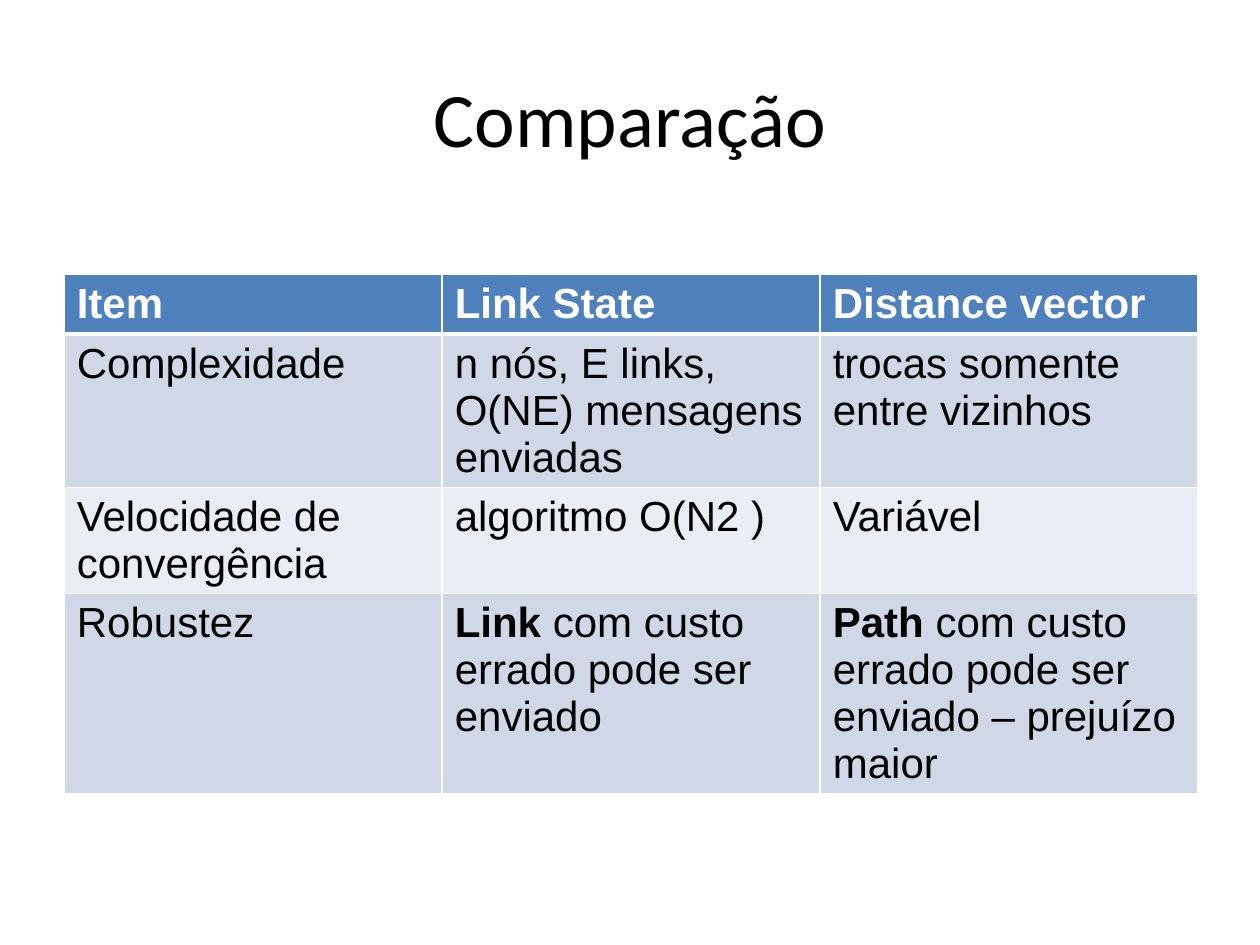
"""Build a slide comparing link state and distance vector routing."""
from dataclasses import dataclass

from lxml.etree import SubElement
from pptx import Presentation
from pptx.dml.color import RGBColor as Color
from pptx.enum.text import MSO_ANCHOR as Anchor, PP_ALIGN as Align
from pptx.oxml.ns import qn
from pptx.util import Inches, Pt

TITLE = "Comparação"
HEADINGS = ["Item", "Link State", "Distance vector"]
CRITERIA = [
    ["Complexidade", "n nós, E links, O(NE) mensagens enviadas", "trocas somente entre vizinhos"],
    ["Velocidade de convergência", "algoritmo O(N2 )", "Variável"],
    ["Robustez",
     [("Link", True), (" com custo errado pode ser enviado", False)],
     [("Path", True), (" com custo errado pode ser enviado – prejuízo maior", False)]],
]


@dataclass(frozen=True)
class Theme:
    title_font: str = "Calibri"
    body_font: str = "Arial"
    title_size: int = 44
    body_size: int = 24
    ink: str = "000000"
    paper: str = "FFFFFF"
    header: str = "4F81BD"
    bands: tuple = ("D0D8E8", "E9EDF4")
    rule: int = 1
    header_rule: int = 3


THEME = Theme()
WIDTH, HEIGHT = Inches(10), Inches(7.5)
MARGIN = WIDTH * 0.05
CONTENT_WIDTH = int(WIDTH - 2 * MARGIN)


def add_run(paragraph, text, font, size, color, bold=False):
    run = paragraph.add_run()
    run.text = text
    run.font.name, run.font.size, run.font.bold = font, Pt(size), bold
    run.font.color.rgb = Color.from_string(color)


def add_borders(cell, widths):
    properties = cell._tc.get_or_add_tcPr()
    for position, (side, width) in enumerate(widths.items()):
        line = SubElement(properties, qn(f"a:ln{side}"), w=str(Pt(width)))
        fill = SubElement(line, qn("a:solidFill"))
        SubElement(fill, qn("a:srgbClr"), val=THEME.paper)
        properties.remove(line)
        properties.insert(position, line)


def fill_cell(cell, content, row):
    is_header = row == 0
    background = THEME.header if is_header else THEME.bands[(row - 1) % 2]
    ink = THEME.paper if is_header else THEME.ink
    cell.fill.solid()
    cell.fill.fore_color.rgb = Color.from_string(background)
    widths = dict.fromkeys("LRTB", THEME.rule)
    if row < 2:
        widths["B" if is_header else "T"] = THEME.header_rule
    add_borders(cell, widths)
    pieces = [(content, is_header)] if isinstance(content, str) else content
    for text, bold in pieces:
        add_run(cell.text_frame.paragraphs[0], text, THEME.body_font, THEME.body_size, ink, bold)


def add_title(slide):
    title = slide.shapes.title
    title.left, title.top = int(MARGIN), int(HEIGHT * 0.04)
    title.width, title.height = CONTENT_WIDTH, Inches(1.25)
    title.text_frame.vertical_anchor = Anchor.MIDDLE
    heading = title.text_frame.paragraphs[0]
    heading.alignment = Align.CENTER
    add_run(heading, TITLE, THEME.title_font, THEME.title_size, THEME.ink)


def add_comparison(slide):
    rows = [HEADINGS, *CRITERIA]
    frame = slide.shapes.add_table(
        len(rows), len(HEADINGS), Inches(0.51), Inches(2.18), CONTENT_WIDTH, Inches(4))
    for r, contents in enumerate(rows):
        frame.table.rows[r].height = Inches(0.41)
        for c, content in enumerate(contents):
            fill_cell(frame.table.cell(r, c), content, r)
    frame.height = Inches(4)


def main():
    deck = Presentation()
    deck.slide_width, deck.slide_height = WIDTH, HEIGHT
    slide = deck.slides.add_slide(deck.slide_layouts[5])
    add_title(slide)
    add_comparison(slide)
    deck.save("out.pptx")


if __name__ == "__main__":
    main()
